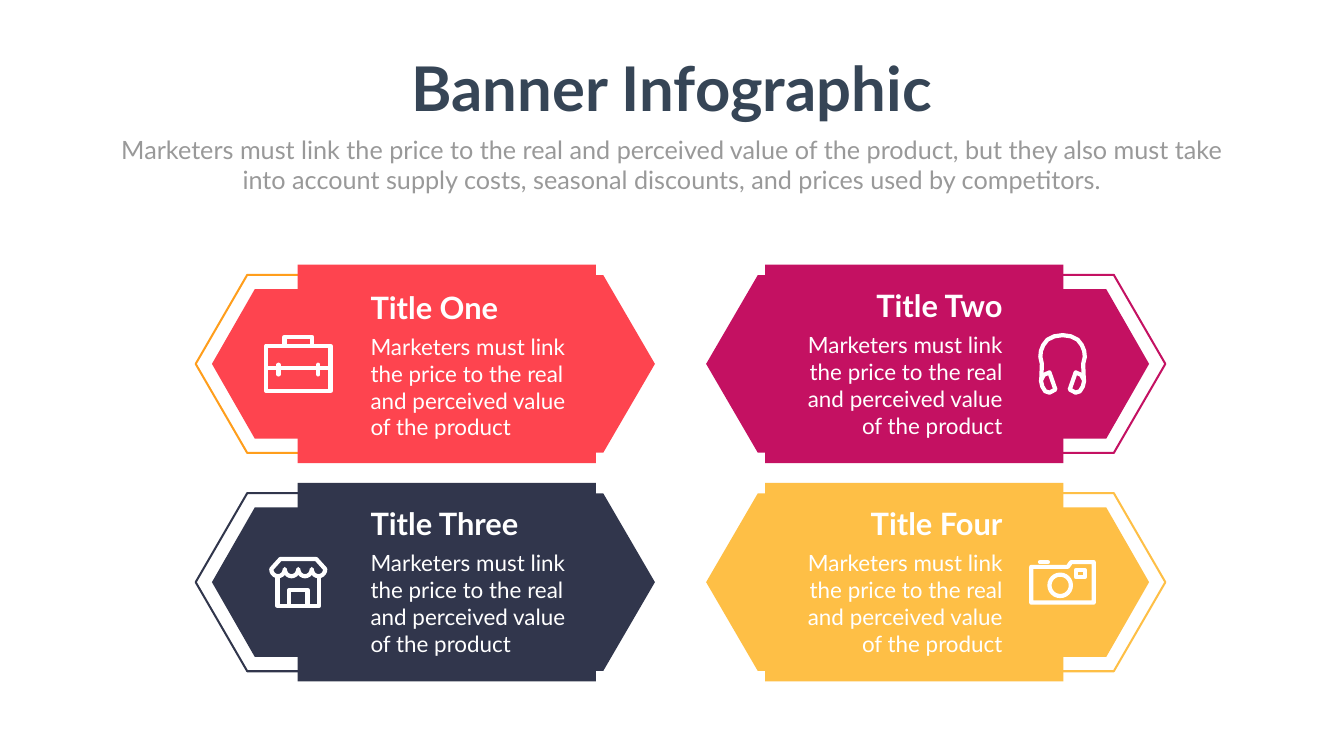
from math import cos, pi, sin

from lxml.etree import SubElement
from pptx import Presentation
from pptx.dml.color import RGBColor
from pptx.enum.shapes import MSO_CONNECTOR, MSO_SHAPE
from pptx.enum.text import PP_ALIGN
from pptx.oxml.ns import qn
from pptx.util import Cm, Pt

FONT = "Lato"
WHITE = RGBColor(0xFF, 0xFF, 0xFF)
SLATE = RGBColor(0x36, 0x45, 0x56)
GRAY = RGBColor(0x99, 0x99, 0x99)
ORANGE = RGBColor(0xFF, 0x9E, 0x1C)
CORAL = RGBColor(0xFE, 0x44, 0x4F)
MAGENTA = RGBColor(0xC4, 0x11, 0x62)
NAVY = RGBColor(0x31, 0x36, 0x4C)
YELLOW = RGBColor(0xFE, 0xBF, 0x46)

PANEL_WIDTH, PANEL_HEIGHT = 23.14, 10
PANEL_LEFTS = (9.86, 35.58)
PANEL_TOP, PANEL_PITCH = 13.34, 11
BODY = "Marketers must link the price to the real and perceived value of the product"

OUTLINE = [(7.75, 0.51), (2.6, 0.51), (0, 5), (2.6, 9.49), (7.75, 9.49), (10.34, 5)]
BANNER = [(23.14, 5), (20.54, 0.53), (20.17, 0.53), (20.17, 0), (5.14, 0),
          (5.14, 10), (20.17, 10), (20.17, 9.47), (20.54, 9.47)]
INNER = [(6.53, 1.23), (2.98, 1.23), (0.82, 5), (2.98, 8.77), (7.35, 8.77), (9.53, 5), (7.35, 1.23)]


def add_polygon(slide, origin, points, closed=True):
    """Draw a freeform through points in centimetres from the origin."""
    vertices = [(Cm(origin[0] + x), Cm(origin[1] + y)) for x, y in points]
    builder = slide.shapes.build_freeform(*vertices[0], scale=1.0)
    builder.add_line_segments(vertices[1:], close=closed)
    shape = builder.convert_to_shape()
    shape.shadow.inherit = False
    return shape


def fill_shape(shape, color):
    """Give a shape a plain fill and no line."""
    shape.fill.solid()
    shape.fill.fore_color.rgb = color
    shape.line.fill.background()


def style_stroke(shape):
    """Give a shape the white rounded line of the icons."""
    shape.line.color.rgb = WHITE
    shape.line.width = Pt(6)
    line = shape.element.spPr.find(qn("a:ln"))
    line.set("cap", "rnd")
    SubElement(line, qn("a:round"))


def add_stroke(slide, origin, points, closed=True):
    """Draw an unfilled icon outline."""
    shape = add_polygon(slide, origin, points, closed)
    shape.fill.background()
    style_stroke(shape)


def add_bar(slide, origin, start, end):
    """Draw a straight icon line."""
    x, y = origin
    connector = slide.shapes.add_connector(
        MSO_CONNECTOR.STRAIGHT, Cm(x + start[0]), Cm(y + start[1]), Cm(x + end[0]), Cm(y + end[1]))
    style_stroke(connector)
    SubElement(connector.element.spPr, qn("a:effectLst"))


def add_text(slide, box, text, size, color, alignment, bold=False, wrap=True):
    """Add a one-paragraph text box."""
    text_box = slide.shapes.add_textbox(*(Cm(length) for length in box))
    text_box.text_frame.word_wrap = wrap
    paragraph = text_box.text_frame.paragraphs[0]
    paragraph.alignment = alignment
    run = paragraph.add_run()
    run.text = text
    run.font.name = FONT
    run.font.size = Pt(size)
    run.font.bold = bold
    run.font.color.rgb = color


def rectangle(left, top, right, bottom):
    """Return the corners of a rectangle."""
    return [(left, top), (right, top), (right, bottom), (left, bottom)]


def add_briefcase(slide, origin):
    """Draw the briefcase icon."""
    add_stroke(slide, origin, rectangle(0.11, 0.55, 3.34, 2.84))
    add_stroke(slide, origin, [(1.03, 0.55), (1.03, 0.11), (2.41, 0.11), (2.41, 0.55)], closed=False)
    add_bar(slide, origin, (0.11, 1.69), (3.34, 1.69))
    for x in (0.72, 2.73):
        add_bar(slide, origin, (x, 1.51), (x, 2))


def add_headphones(slide, origin):
    """Draw the headphones icon."""
    band = [(0.15, 2.3), (0.18, 1.55), (0.1, 1.2), (0.13, 0.9), (0.25, 0.6), (0.46, 0.33), (0.8, 0.16), (1.22, 0.1)]
    cup = [(0.56, 1.98), (0.86, 2.84), (0.56, 3), (0.35, 2.93), (0.2, 2.69), (0.13, 2.39), (0.28, 2.1)]

    def mirror(points):
        return [(2.44 - x, y) for x, y in points]

    add_stroke(slide, origin, band + mirror(band)[::-1], closed=False)
    add_stroke(slide, origin, cup)
    add_stroke(slide, origin, mirror(cup))


def add_store(slide, origin):
    """Draw the shop icon with its scalloped awning."""
    steps = 10
    scallops = [(2.48 - 0.68 * arc + 0.34 * cos(pi * step / steps), 0.61 + 0.36 * sin(pi * step / steps))
                for arc in range(4) for step in range(steps + 1)]
    add_stroke(slide, origin, [(0.56, 0.1), (2.36, 0.1)] + scallops)
    add_stroke(slide, origin, [(0.41, 1), (0.41, 2.46), (2.52, 2.46), (2.52, 1)], closed=False)
    add_stroke(slide, origin, rectangle(1.01, 1.66, 1.92, 2.46))


def add_camera(slide, origin):
    """Draw the camera icon."""
    add_stroke(slide, origin, [(0.1, 2.14), (3.25, 2.14), (3.25, 0.1), (2.11, 0.1), (1.94, 0.34), (0.1, 0.34)])
    add_bar(slide, origin, (0.54, 0.1), (0.94, 0.1))
    add_stroke(slide, origin, rectangle(2.35, 0.5, 2.81, 0.85))
    lens = slide.shapes.add_shape(
        MSO_SHAPE.OVAL, Cm(origin[0] + 1.02), Cm(origin[1] + 0.73), Cm(1.08), Cm(1.08))
    lens.shadow.inherit = False
    lens.fill.background()
    style_stroke(lens)


def add_header(slide, left, top, width):
    """Add the slide title and its subtitle."""
    add_text(slide, (left + (width - 27.38) / 2, top, 27.38, 4.01), "Banner Infographic", 88, SLATE,
             PP_ALIGN.CENTER, bold=True, wrap=False)
    subtitle = ("Marketers must link the price to the real and perceived value of the product, but they also "
                "must take into account supply costs, seasonal discounts, and prices used by competitors.")
    add_text(slide, (left, top + 4.24, width, 3.33), subtitle, 36, GRAY, PP_ALIGN.CENTER)


def add_panel(slide, left, top, mirrored, title, title_width, text_top, color, line_color, add_icon, icon_offset):
    """Add one banner with its outline, icon and text."""
    def face(points):
        return [(PANEL_WIDTH - x, y) for x, y in points] if mirrored else points

    outline = add_polygon(slide, (left, top), face(OUTLINE))
    outline.fill.background()
    outline.line.color.rgb = line_color
    outline.line.width = Pt(2.89)
    for points in (BANNER, INNER):
        fill_shape(add_polygon(slide, (left, top), face(points)), color)
    add_icon(slide, (left + icon_offset[0], top + icon_offset[1]))

    alignment = PP_ALIGN.RIGHT if mirrored else PP_ALIGN.LEFT
    for text, size, bold, width, offset, height in (
            (title, 44, True, title_width, 0, 2.13), (BODY, 32, False, 11.5, 2.24, 5.74)):
        text_left = left + (PANEL_WIDTH - 7.95 - width if mirrored else 8.56)
        add_text(slide, (text_left, top + text_top + offset, width, height), text, size, WHITE, alignment, bold)


def main():
    """Build and save the presentation."""
    presentation = Presentation()
    presentation.slide_width = Cm(67.72)
    presentation.slide_height = Cm(38.1)
    slide = presentation.slides.add_slide(presentation.slide_layouts[6])
    add_header(slide, 5.64, 2.41, 56.41)
    panels = [
        ("Title One", 7.01, 1.07, CORAL, ORANGE, add_briefcase, (3.45, 3.53)),
        ("Title Two", 7.6, 0.98, MAGENTA, MAGENTA, add_headphones, (16.74, 3.45)),
        ("Title Three", 8.33, 0.98, NAVY, NAVY, add_store, (3.71, 3.73)),
        ("Title Four", 7.6, 0.98, YELLOW, YELLOW, add_camera, (16.28, 3.89)),
    ]
    for index, panel in enumerate(panels):
        row, column = divmod(index, 2)
        add_panel(slide, PANEL_LEFTS[column], PANEL_TOP + row * PANEL_PITCH, column == 1, *panel)
    presentation.save("out.pptx")


if __name__ == "__main__":
    main()
